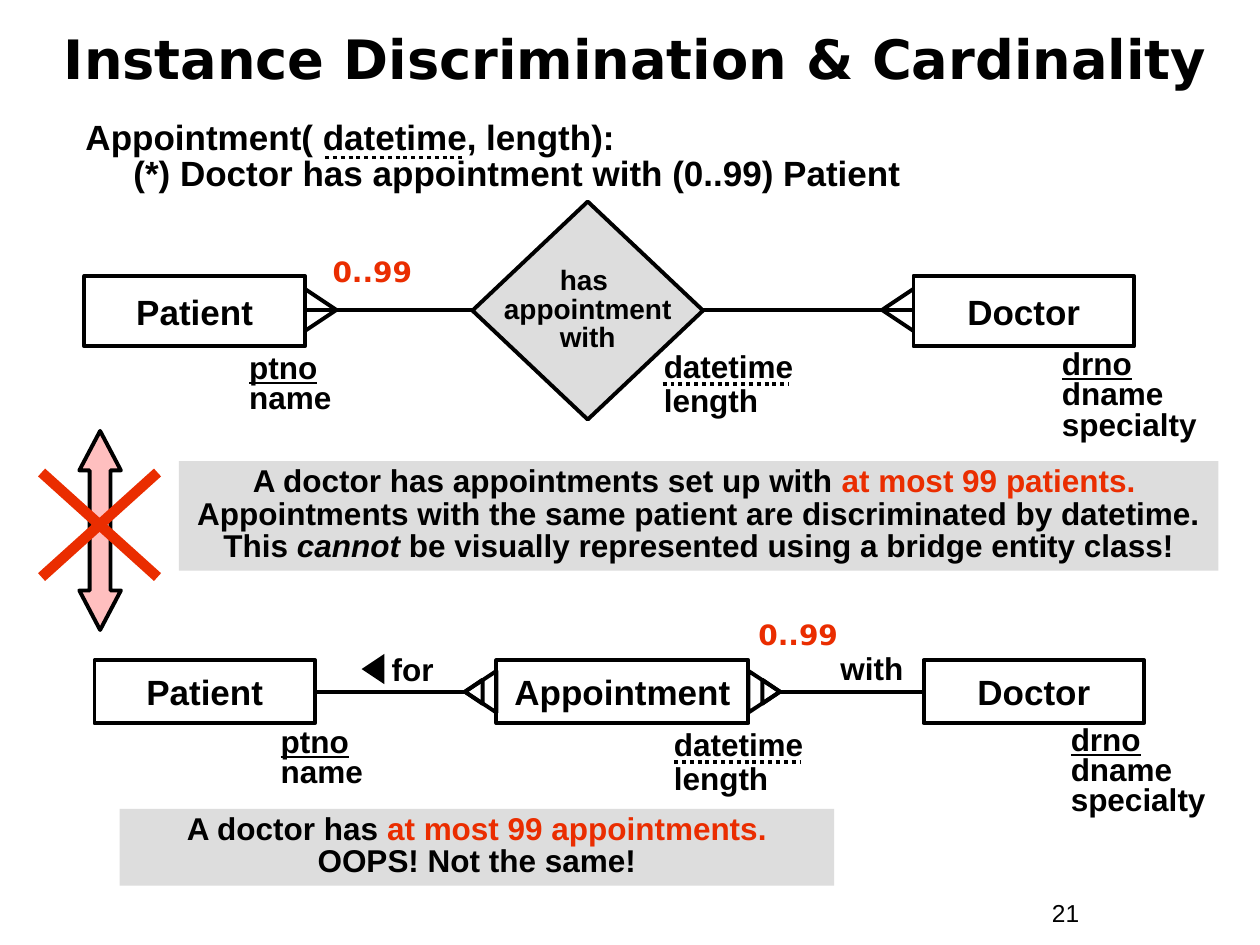
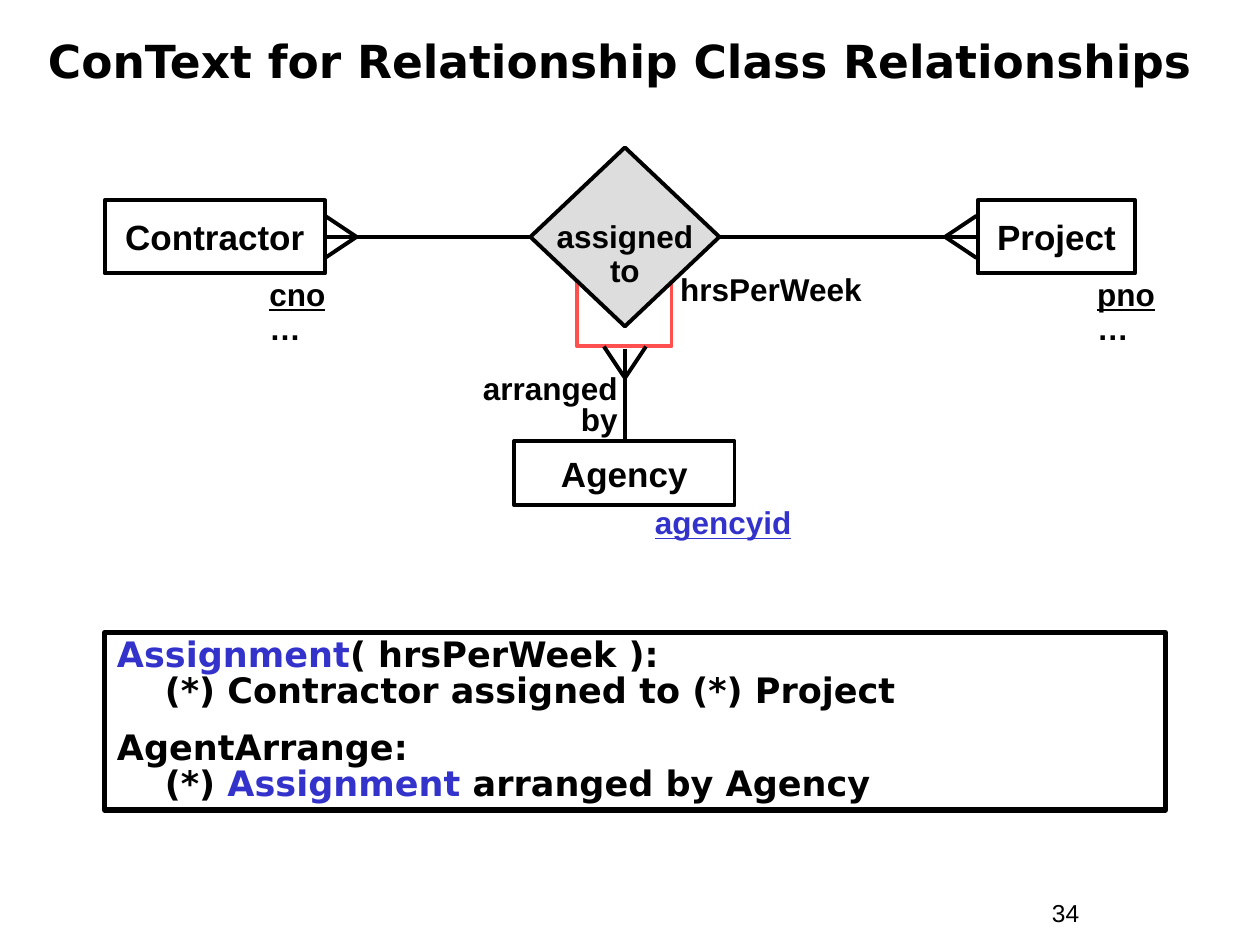
from copy import deepcopy

from pptx import Presentation
from pptx.dml.color import RGBColor
from pptx.enum.dml import MSO_LINE
from pptx.enum.shapes import MSO_CONNECTOR, MSO_SHAPE
from pptx.enum.text import MSO_ANCHOR, PP_ALIGN
from pptx.oxml.ns import qn
from pptx.util import Inches, Pt
from lxml.etree import SubElement

COLS = 100  # the slide is 100 columns by 75 rows of square cells
WIDE, HIGH = Inches(10), Inches(7.5)
CELL = WIDE / COLS

BLACK, GREY, RED, BLUE = "000000", "DDDDDD", "EA2D00", "3333CC"
PINK, CORAL = "FFBFBF", "FF5050"
SANS, HEAD = "Arial", "DejaVu Sans"
LEFT, MID, RIGHT = PP_ALIGN.LEFT, PP_ALIGN.CENTER, PP_ALIGN.RIGHT
THIN = 2.25
HANG = 0.38
SPREAD = 1.67  # half the width of a crow's foot


def cells(*counts):
    return [round(count * CELL) for count in counts]


def tint(code):
    return RGBColor.from_string(code)


def style(run, size, name, color=BLACK, bold=True, **flags):
    font = run.font
    font.size, font.name, font.bold = Pt(size), name, bold
    font.color.rgb = tint(color)
    for flag, value in flags.items():
        setattr(font, flag, value)


def fill_line(para, runs, size, name):
    """Add runs, each a string or (string, look); a newline is a line break."""
    for item in runs:
        text, look = (item, {}) if isinstance(item, str) else item
        for i, part in enumerate(text.split("\n")):
            if i:
                para.add_line_break()
                para._p[-1].append(deepcopy(para.runs[-1]._r.rPr))
            if part:
                run = para.add_run()
                run.text = part
                style(run, size, name, **look)


def write(shape, paras, size=18, name=SANS, align=LEFT, space=1.0,
          gap=0, hang=0, wrap=True, anchor=MSO_ANCHOR.TOP):
    frame = shape.text_frame
    frame.word_wrap, frame.vertical_anchor = wrap, anchor
    for i, runs in enumerate(paras):
        para = frame.add_paragraph() if i else frame.paragraphs[0]
        para.alignment, para.line_spacing = align, space
        if i and gap:
            para.space_before = Pt(gap)
        if hang:
            props = para._p.get_or_add_pPr()
            props.set("marL", str(Inches(hang)))
            props.set("indent", str(-Inches(hang)))
        fill_line(para, runs, size, name)


def label(slide, spot, paras, **look):
    write(slide.shapes.add_textbox(*cells(*spot)), paras, **look)


def figure(slide, kind, spot, fill=None, line=BLACK, weight=THIN, turn=0):
    shape = slide.shapes.add_shape(kind, *cells(*spot))
    shape.shadow.inherit = False
    shape.rotation = turn
    if fill:
        shape.fill.solid()
        shape.fill.fore_color.rgb = tint(fill)
    else:
        shape.fill.background()
    if line:
        shape.line.color.rgb = tint(line)
        shape.line.width = Pt(weight)
    else:
        shape.line.fill.background()
    return shape


def arrow(slide, spot, shaft, head):
    """Double-headed arrow; shaft and head are shares of its width."""
    shape = figure(slide, MSO_SHAPE.UP_DOWN_ARROW, spot, PINK)
    guides = shape._element.spPr.find(qn("a:prstGeom")).find(qn("a:avLst"))
    guides.clear()
    for key, share in (("adj1", shaft), ("adj2", head)):
        SubElement(guides, qn("a:gd"), name=key,
                   fmla=f"val {round(share * 100000)}")


def line(slide, x1, y1, x2, y2, color=BLACK, weight=THIN, dots=False):
    link = slide.shapes.add_connector(MSO_CONNECTOR.STRAIGHT,
                                      *cells(x1, y1, x2, y2))
    SubElement(link._element.spPr, qn("a:effectLst"))
    link.line.color.rgb = tint(color)
    link.line.width = Pt(weight)
    if dots:
        link.line.dash_style = MSO_LINE.ROUND_DOT


def dots(slide, x, y, wide=10):
    line(slide, x, y, x + wide, y, dots=True)


def foot(slide, x, y, dx=0, dy=0):
    """Crow's foot with its tip at x, y, opening towards dx or dy."""
    for side in (-SPREAD, SPREAD):
        line(slide, x, y, x + (dx or side), y + (dy or side))


def entity(slide, spot, text):
    box = figure(slide, MSO_SHAPE.RECTANGLE, spot)
    write(box, [[text]], size=20, align=MID, wrap=False,
          anchor=MSO_ANCHOR.MIDDLE)


def diamond(slide, spot, text, size, space, drop=0):
    """Relationship class; drop lowers the text by half its cells."""
    shape = figure(slide, MSO_SHAPE.FLOWCHART_DECISION, spot, GREY)
    shape.text_frame.margin_top += cells(drop)[0]
    write(shape, [[text]], size=size, align=MID, space=space, wrap=False,
          anchor=MSO_ANCHOR.MIDDLE)


def fields(slide, x, y, names, key=True, space=0.8, color=BLACK, wide=16):
    """Attribute list, its first name underlined if it is a key."""
    paras = [[(name, {"underline": key and not i, "color": color})]
             for i, name in enumerate(names)]
    label(slide, (x, y, wide, 1 + 2.5 * len(names)), paras, space=space)


def limit(slide, x, y):
    label(slide, (x, y, 13.3, 3.7), [[("0..99", {"color": RED})]],
          size=16, name=HEAD, align=MID)


def note(slide, spot, runs):
    band = figure(slide, MSO_SHAPE.RECTANGLE, spot, GREY, None)
    write(band, [runs], align=MID, space=0.85)


def wedge(slide, x, y, long, deep, turn, fill=None):
    """Triangle centred on x, y and turned about that point."""
    spot = (x - long / 2, y - deep / 2, long, deep)
    figure(slide, MSO_SHAPE.ISOSCELES_TRIANGLE, spot, fill,
           None if fill else BLACK, turn=turn)


def barred(slide, x, y, way):
    """Crow's foot with a bar, pointing left (-1) or right (1)."""
    turn = 90 * way % 360
    wedge(slide, x, y, 3.3, 2.5, turn)
    wedge(slide, x + 0.55 * way, y, 1.9, 1.4, turn)


def start(deck, title, spot, size, number, space=1.0):
    slide = deck.slides.add_slide(deck.slide_layouts[5])
    head = slide.shapes.title
    head.left, head.top, head.width, head.height = cells(*spot)
    write(head, [[title]], size=size, name=HEAD, align=MID, space=space,
          anchor=MSO_ANCHOR.MIDDLE)
    label(slide, (82.5, 70.8, 9.2, 3.4), [[(number, {"bold": False})]],
          size=14)
    return slide


def discriminate(deck):
    slide = start(deck, "Instance Discrimination & Cardinality",
                  (3.3, 1.7, 94.2, 6.7), 31, "21", 0.8)
    label(slide, (5.8, 9.2, 79.2, 6.7),
          [["Appointment( datetime, length):\n"
            "(*) Doctor has appointment with (0..99) Patient"]],
          size=20, space=0.85, hang=HANG)
    dots(slide, 25.8, 12.5, 10.9)

    # Relationship class
    axis = 24.6
    diamond(slide, (37.5, 16, 18.3, 17.3), "has \nappointment\nwith",
            16, 0.85)
    entity(slide, (6.7, 21.9, 17.5, 5.6), "Patient")
    entity(slide, (72.5, 21.9, 17.5, 5.6), "Doctor")
    line(slide, 24.2, axis, 37.5, axis)
    line(slide, 55.8, axis, 72.5, axis)
    foot(slide, 26.7, axis, dx=-2.5)
    foot(slide, 70, axis, dx=2.5)
    limit(slide, 22.9, 19.7)
    fields(slide, 18.8, 27.7, ["ptno", "name"])
    fields(slide, 51.7, 27.4, ["datetime", "length"], False, 0.9)
    dots(slide, 52.6, 30.5)
    fields(slide, 83.3, 27.4, ["drno", "dname", "specialty"])

    # Crossed-out equivalence
    red = {"color": RED}
    note(slide, (14.2, 36.6, 82.5, 8.7),
         ["A doctor has appointments set up with ",
          ("at most 99 patients. \n", red),
          "Appointments with the same patient are discriminated by "
          "datetime.\nThis ",
          ("cannot", {"italic": True}),
          " be visually represented using a bridge entity class!"])
    arrow(slide, (6.3, 34.2, 3.3, 15.8), 0.5, 0.95)
    for top, foot_y in ((37.5, 45.8), (45.8, 37.5)):
        line(slide, 3.3, top, 12.5, foot_y, RED, 6)

    # Bridge entity class
    axis = 54.9
    entity(slide, (7.5, 52.4, 17.5, 5), "Patient")
    entity(slide, (39.4, 52.4, 20, 5), "Appointment")
    entity(slide, (73.3, 52.4, 17.5, 5), "Doctor")
    line(slide, 25, axis, 37, axis)
    line(slide, 61.9, axis, 73.3, axis)
    barred(slide, 38.15, axis, -1)
    barred(slide, 60.65, axis, 1)
    wedge(slide, 29.6, 53.1, 2.4, 1.8, 270, BLACK)
    label(slide, (26.9, 51.1, 11.7, 4), [["for"]], align=MID)
    label(slide, (61.7, 51, 15, 4), [["with"]], align=MID)
    limit(slide, 56.7, 48.5)
    fields(slide, 21.3, 57.4, ["ptno", "name"])
    fields(slide, 52.5, 57.4, ["datetime", "length"], False, 0.9)
    dots(slide, 53.5, 60.5)
    fields(slide, 84, 57.2, ["drno", "dname", "specialty"])
    note(slide, (9.5, 64.2, 56.7, 6.1),
         ["A doctor has ", ("at most 99 appointments.\n", red),
          "OOPS! Not the same!"])


def relate(deck):
    slide = start(deck, "ConText for Relationship Class Relationships",
                  (0.9, 0.2, 96.7, 9.2), 26, "34")
    axis, stem = 18.8, 49.6
    figure(slide, MSO_SHAPE.RECTANGLE, (45.8, 22.5, 7.5, 5), line=CORAL)
    diamond(slide, (42.1, 11.7, 15, 14.2), "assigned\nto", 18, 0.9, 2.9)
    entity(slide, (8.3, 15.9, 17.5, 5.8), "Contractor")
    entity(slide, (77.6, 15.9, 12.5, 5.8), "Project")
    entity(slide, (40.8, 35, 17.5, 5.1), "Agency")
    line(slide, 25.8, axis, 42.1, axis)
    line(slide, 57.1, axis, 77.6, axis)
    line(slide, stem, 27.7, stem, 35)
    foot(slide, 28.3, axis, dx=-2.5)
    foot(slide, 75, axis, dx=2.5)
    foot(slide, stem, 30, dy=-2.5)
    label(slide, (36.7, 29.4, 13.3, 5.8), [["arranged\nby"]], align=RIGHT,
          space=0.8)
    fields(slide, 20.4, 21.7, ["cno", "…"], space=0.9)
    fields(slide, 53, 21.3, ["hrsPerWeek"], False, 0.9, wide=18)
    fields(slide, 86.1, 21.7, ["pno", "…"], space=0.9, wide=10)
    fields(slide, 51, 39.8, ["agencyid"], space=0.9, color=BLUE)

    name = ("Assignment", {"color": BLUE})
    rules = figure(slide, MSO_SHAPE.RECTANGLE, (8.3, 50.2, 84.2, 14.1),
                   weight=3)
    write(rules,
          [[name, "( hrsPerWeek ):\n(*) Contractor assigned to (*) Project"],
           ["AgentArrange:\n(*) ", name, " arranged by Agency"]],
          size=20, name=HEAD, space=0.85, gap=12.5, hang=HANG)


def main():
    deck = Presentation()
    deck.slide_width, deck.slide_height = WIDE, HIGH
    discriminate(deck)
    relate(deck)
    deck.save("out.pptx")


if __name__ == "__main__":
    main()
